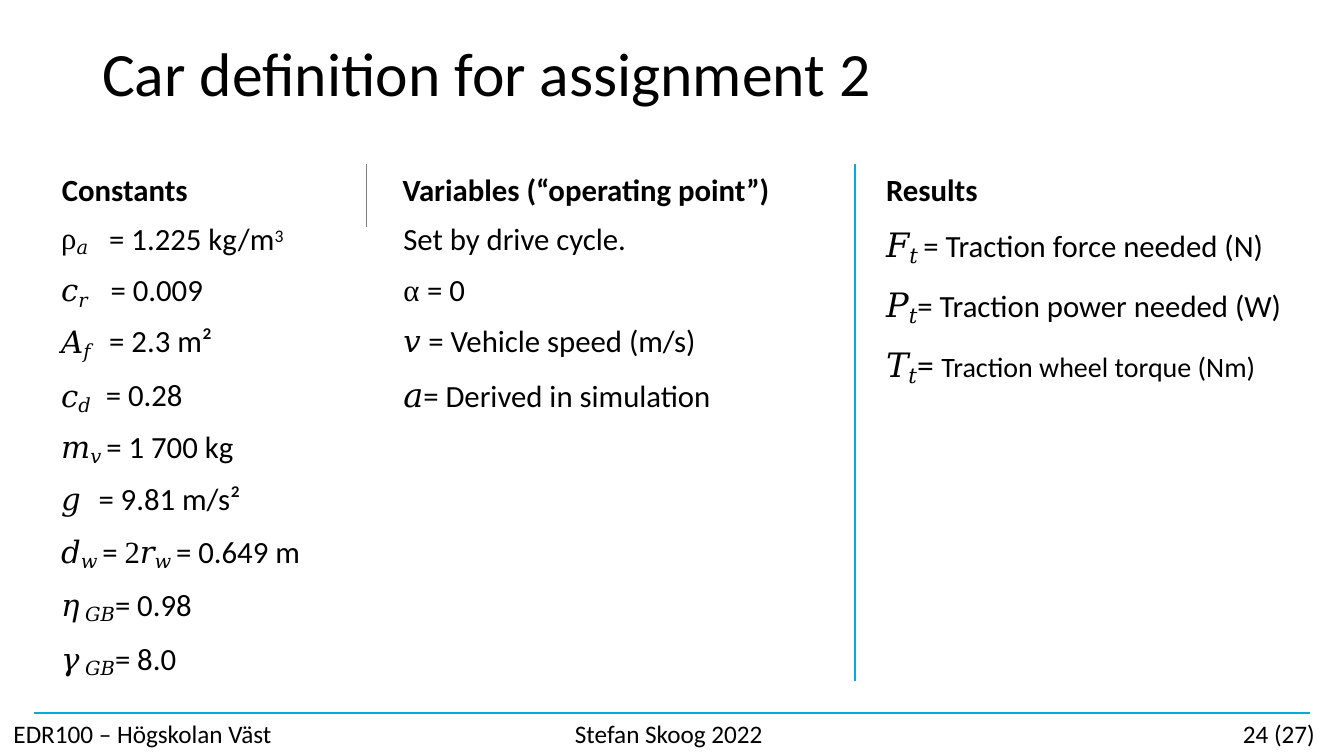
"""Build the slide that defines the car for assignment 2."""
from lxml.etree import SubElement
from pptx import Presentation
from pptx.dml.color import RGBColor
from pptx.enum.shapes import MSO_CONNECTOR
from pptx.oxml.ns import qn
from pptx.util import Inches, Pt

SANS, SERIF = "Calibri", "Times New Roman"
THEME = {
    "ink": RGBColor(0, 0, 0),
    "accent": RGBColor(0x03, 0xAB, 0xDD),
    "divider": RGBColor(0x7F, 0x7F, 0x7F),
    "title": (SANS, 44, False, 0),
    "heading": (SANS, 22, True, 0),
    "body": (SANS, 22, False, 0),
    "small": (SANS, 20, False, 0),
    "large": (SANS, 24, False, 0),
    "footer": (SANS, 18, False, 0),
    "power": (SANS, 21.8, False, 25),
    "symbol": (SERIF, 22, False, 0),
    "big symbol": (SERIF, 24, False, 0),
    "index": (SERIF, 24, False, -16),
    "big index": (SERIF, 26.2, False, -16),
}

deck = Presentation()
deck.slide_width, deck.slide_height = Inches(13.33), Inches(7.5)
page = deck.slides.add_slide(deck.slide_layouts[6])
COLUMN, ROW = deck.slide_width / 100, deck.slide_height / 100


def write(frame, paras, indent=0, gap=0, leading=None):
    """Fill a text frame with paragraphs made of (style, text) runs."""
    frame.word_wrap = True
    for number, runs in enumerate(paras):
        para = frame.add_paragraph() if number else frame.paragraphs[0]
        para.space_before = Pt(gap if number else 0)
        if leading:
            para.line_spacing = Pt(leading)
        properties = para._p.get_or_add_pPr()
        properties.set("marL", str(int(indent * COLUMN)))
        if any("\t" in text for _, text in runs):
            stops = SubElement(properties, qn("a:tabLst"))
            SubElement(stops, qn("a:tab"), pos=str(int(2.78 * COLUMN)), algn="l")
        for style, text in runs:
            span = para.add_run()
            span.text = text
            font, size, bold, baseline = THEME[style]
            span.font.name, span.font.size, span.font.bold = font, Pt(size), bold
            span.font.color.rgb = THEME["ink"]
            if baseline:
                span.font._element.set("baseline", str(baseline * 1000))


def add_text(left, top, width, height, paras, **layout):
    """Place a text box without margins on the grid."""
    box = page.shapes.add_textbox(
        int(left * COLUMN), int(top * ROW), int(width * COLUMN), int(height * ROW))
    frame = box.text_frame
    frame.margin_left = frame.margin_right = frame.margin_top = frame.margin_bottom = 0
    write(frame, paras, **layout)


rules = [
    (2.55, 94.27, 97.5, 94.27, "accent", 1.5),
    (27.23, 21.73, 27.23, 90.13, "divider", 0.5),
    (63.6, 21.73, 63.6, 90.13, "accent", 1.5),
]
for left, top, right, bottom, color, weight in rules:
    rule = page.shapes.add_connector(
        MSO_CONNECTOR.STRAIGHT, int(left * COLUMN), int(top * ROW),
        int(right * COLUMN), int(bottom * ROW))
    rule.line.color.rgb = THEME[color]
    rule.line.width = Pt(weight)
    SubElement(rule._element.spPr, qn("a:effectLst"))

add_text(7.5, 4.67, 70, 10, [[("title", "Car definition for assignment 2")]], indent=0.1)
for left, width, heading in [(4.5, 15, "Constants"), (29.85, 32, "Variables (“operating point”)")]:
    add_text(left, 22.53, width, 5.2, [[("heading", heading)]], indent=0.1)

results = [
    [("heading", "Results")],
    [("big symbol", "𝐹"), ("big index", "𝑡 "), ("body", "= Traction force needed (N)")],
    [("big symbol", "𝑃"), ("big index", "𝑡"), ("body", "= Traction power needed (W)")],
    [("big symbol", "𝑇"), ("big index", "𝑡"), ("large", "= "),
     ("small", "Traction wheel torque (Nm)")],
]
add_text(65.63, 22.53, 33, 26.5, results, indent=0.3, gap=9.5)

value_rows = [
    ([("symbol", "ρ"), ("index", "𝑎")],
     [("body", "= 1.225 kg/m"), ("power", "3")],
     [("body", "Set by drive cycle.")]),
    ([("symbol", "𝑐"), ("index", "𝑟")],
     [("body", "= 0.009")],
     [("symbol", "α "), ("body", "= 0")]),
    ([("symbol", "𝐴"), ("index", "𝑓")],
     [("body", "= 2.3 m²")],
     [("symbol", "𝑣 "), ("body", "= Vehicle speed (m/s)")]),
    ([("symbol", "𝑐"), ("index", "𝑑")],
     [("body", "= 0.28")],
     [("big symbol", "𝑎"), ("body", "= Derived in simulation")]),
]
vehicle_constants = [
    [("symbol", "𝑚"), ("index", "𝑣 "), ("body", "= 1 700 kg")],
    [("symbol", "𝑔\t"), ("body", "= 9.81 m/s²")],
    [("symbol", "𝑑"), ("index", "𝑤 "), ("body", "= "), ("symbol", "2𝑟"),
     ("index", "𝑤 "), ("body", "= 0.649 m")],
    [("symbol", "𝜂"), ("index", "𝐺𝐵"), ("body", "= 0.98")],
    [("symbol", "𝛾"), ("index", "𝐺𝐵"), ("body", "= 8.0")],
]
column_widths = [3.08, 19.88, 25.8]
row_heights = [5.73, 6.8, 6.8, 7.07, 33.47]
top_margins = [0, 0.13, 0.13, 0.5, 0.13]
value_indents = [0.7, 0.8, 0.7, 0.45]

table = page.shapes.add_table(
    len(row_heights), len(column_widths), int(4.35 * COLUMN), int(30.13 * ROW),
    int(sum(column_widths) * COLUMN), int(sum(row_heights) * ROW)).table
table.first_row = table.horz_banding = False
for column, width in zip(table.columns, column_widths):
    column.width = int(width * COLUMN)
for row, height, margin in zip(table.rows, row_heights, top_margins):
    row.height = int(height * ROW)
    for cell in row.cells:
        cell.fill.background()
        cell.margin_left = cell.margin_right = cell.margin_bottom = 0
        cell.margin_top = int(margin * ROW)
for number, (contents, value_indent) in enumerate(zip(value_rows, value_indents)):
    for column, (runs, indent) in enumerate(zip(contents, [0.2, value_indent, 2.7])):
        write(table.cell(number, column).text_frame, [runs], indent=indent,
              leading=None if number else 22)
table.cell(4, 0).merge(table.cell(4, 1))
write(table.cell(4, 0).text_frame, vehicle_constants, indent=0.2, gap=10)

footers = [
    (0.9, 22, 0.1, "EDR100 – Högskolan Väst"),
    (42.68, 17, 0.1, "Stefan Skoog 2022"),
    (92.18, 7, 0.3, "24 (27)"),
]
for left, width, indent, text in footers:
    add_text(left, 95.7, width, 3.7, [[("footer", text)]], indent=indent, leading=18.1)

deck.save("out.pptx")
